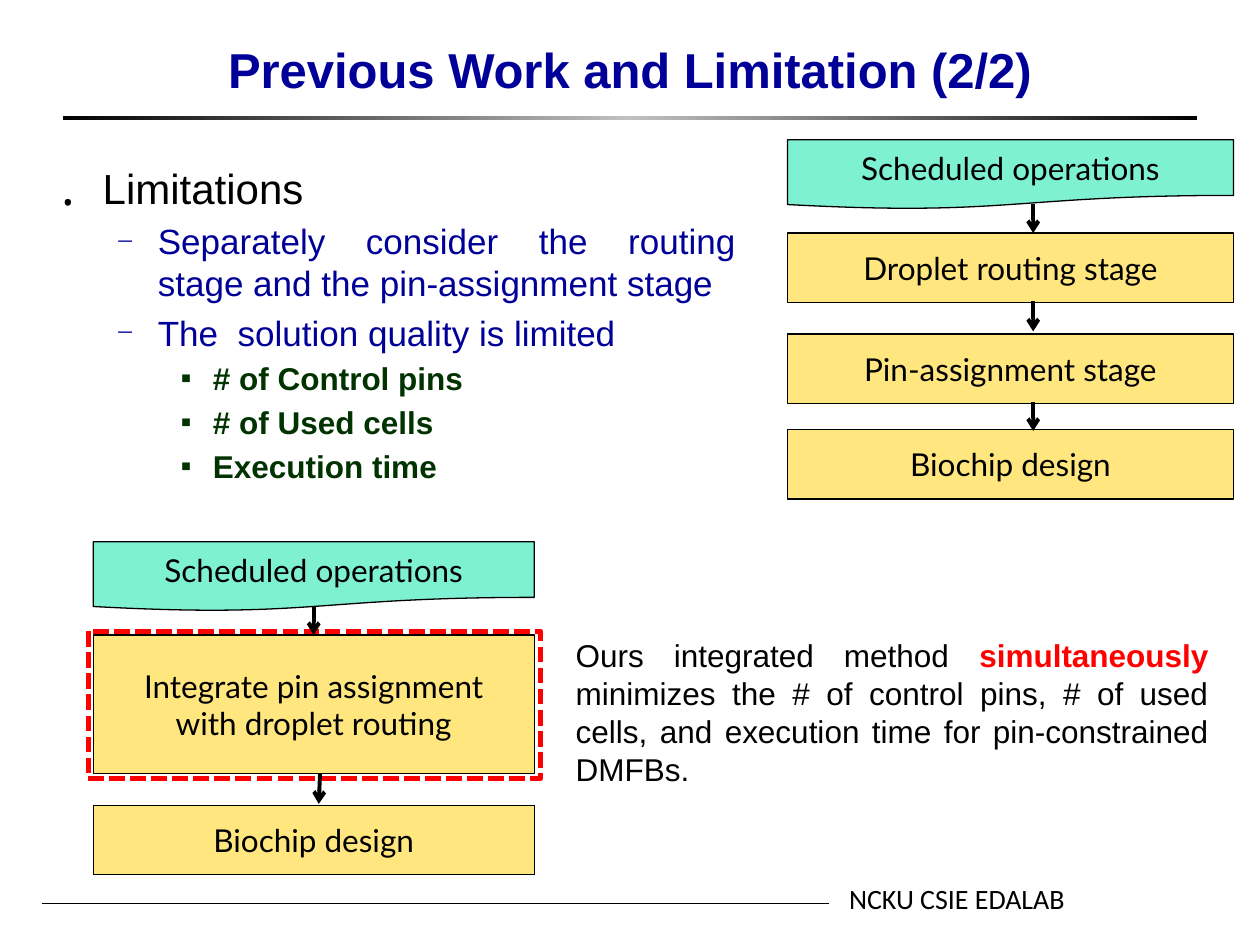
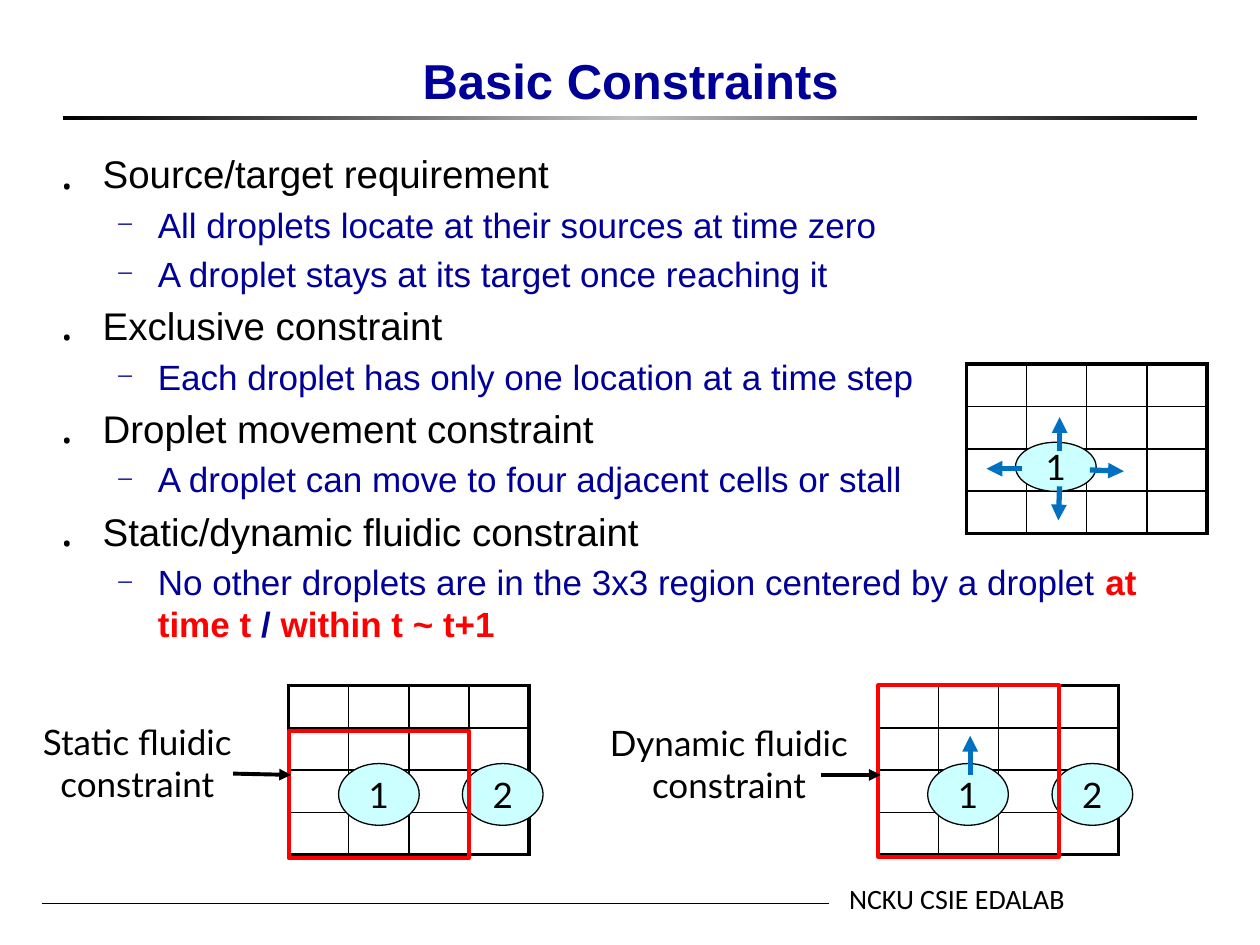
import copy

import pptx
import pptx.dml.color
import pptx.enum.dml
import pptx.enum.shapes
import pptx.enum.text
import pptx.oxml.ns
import pptx.util
from lxml import etree

Pt = pptx.util.Pt
RGBColor = pptx.dml.color.RGBColor
SHAPE = pptx.enum.shapes.MSO_SHAPE
ALIGN = pptx.enum.text.PP_ALIGN
ANCHOR = pptx.enum.text.MSO_ANCHOR
qn = pptx.oxml.ns.qn

BLACK = RGBColor(0x00, 0x00, 0x00)
SILVER = RGBColor(0xC0, 0xC0, 0xC0)
NAVY = RGBColor(0x00, 0x00, 0x99)
GREEN = RGBColor(0x00, 0x33, 0x00)
RED = RGBColor(0xFF, 0x00, 0x00)
BLUE = RGBColor(0x00, 0x70, 0xC0)
MINT = RGBColor(0x00, 0xE4, 0xA8)
AMBER = RGBColor(0xFF, 0xCF, 0x01)
AQUA = RGBColor(0xCC, 0xFF, 0xFF)

# Shared text formats and list levels
TITLE = {"name": "Arial", "size": Pt(28), "bold": True, "color": NAVY}
FOOTER = {"name": "Calibri", "size": Pt(16), "color": BLACK}
NOTE = {"name": "Arial", "size": Pt(18), "color": BLACK}
STAGE = {"name": "Lato", "size": Pt(18), "color": BLACK}
LABEL = {"name": "Lato", "size": Pt(20), "color": BLACK}
KEY = {"bold": True, "color": RED}
LEVELS = [
    {"bullet": "․", "percent": 120, "left": 27, "hang": 27,
     "font": {"name": "Arial", "color": BLACK, "bold": False}},
    {"bullet": "─", "percent": 55, "left": 58.5, "hang": 22.5,
     "font": {"name": "Arial", "size": Pt(20), "color": NAVY, "bold": False}},
    {"bullet": "■", "percent": 50, "left": 90, "hang": 18,
     "font": {"name": "Arial", "size": Pt(18), "color": GREEN, "bold": True}},
]

# Slide 1 content
LIMITATIONS = [
    (0, "Limitations"),
    (1, "Separately consider the routing stage and the pin-assignment stage"),
    (1, "The  solution quality is limited"),
    (2, "# of Control pins"),
    (2, "# of Used cells"),
    (2, "Execution time"),
]
STAGE_HEIGHT = 39.6
# Each stage: text lines, top, height
SEPARATE_FLOW = {
    "left": 450, "width": 254.88,
    "stages": [(["Scheduled operations"], 79.92, STAGE_HEIGHT),
               (["Droplet routing stage"], 133.2, STAGE_HEIGHT),
               (["Pin-assignment stage"], 190.8, STAGE_HEIGHT),
               (["Biochip design"], 245.52, STAGE_HEIGHT)],
    "arrows": [(590.4, 116.64, 590.4, 133.2), (590.4, 172.08, 590.4, 189.36),
               (590.4, 229.68, 590.4, 246.24)],
}
INTEGRATED_FLOW = {
    "left": 53.28, "width": 252,
    "stages": [(["Scheduled operations"], 309.6, STAGE_HEIGHT),
               (["Integrate pin assignment", "with droplet routing"], 362.88, 79.2),
               (["Biochip design"], 460.08, STAGE_HEIGHT)],
    "arrows": [(179.28, 346.32, 179.28, 362.88), (182.88, 442.08, 182.16, 459.36)],
}
INTEGRATED_NOTE = [
    ("Ours integrated method ", {}),
    ("simultaneously ", KEY),
    ("minimizes the # of control pins, # of used cells, and execution time "
     "for pin-constrained DMFBs.", {}),
]

# Slide 2 content
CONSTRAINTS = [
    (0, "Source/target requirement"),
    (1, "All droplets locate at their sources at time zero"),
    (1, "A droplet stays at its target once reaching it"),
    (0, "Exclusive constraint"),
    (1, "Each droplet has only one location at a time step"),
    (0, "Droplet movement constraint"),
    (1, "A droplet can move to four adjacent cells or stall"),
    (0, "Static/dynamic fluidic constraint"),
    (1, [("No other droplets are in the 3x3 region centered by a droplet ", {}),
         ("at time t ", KEY), ("/ ", {"bold": True}), ("within t ~ t+1", KEY)]),
]
GRID_SIZE, CELL_WIDTH, CELL_HEIGHT = 4, 34.38, 24.2
DROPLET_WIDTH = 46.08
# Droplets are (text, offset from grid left); regions are (top offset, height)
GRIDS = [
    {"at": (164.88, 391.68), "droplets": [("1", 28.6), ("2", 99.36)],
     "droplet_height": 35.28, "region": (25.92, 72.72),
     "label": ("Static fluidic constraint", (12.96, 408.24, 131.04, 55.44)),
     "pointer": (133.2, 442.08, 166.32, 442.8), "moves": []},
    {"at": (501.84, 391.68), "droplets": [("1", 28.3), ("2", 99.36)],
     "droplet_height": 35.28, "region": (0, 97.92),
     "label": ("Dynamic fluidic constraint", (337.68, 408.96, 157.68, 55.44)),
     "pointer": (469.44, 442.8, 503.28, 442.8),
     "moves": [(554.4, 442.8, 554.4, 420.48)]},
    {"at": (552.24, 208.08), "droplets": [("1", 28.08)], "droplet_height": 28.08,
     "moves": [(605.52, 257.76, 605.52, 238.32), (622.8, 268.56, 642.24, 269.28),
               (605.52, 277.92, 604.8, 297.36), (583.92, 267.84, 563.76, 267.84)]},
]


def points(values):
    return [Pt(value) for value in values]


def add_xml(parent, tag, **attributes):
    return etree.SubElement(parent, qn(tag), attributes)


def add_span(para, text, values):
    span = para.add_run()
    span.text = text
    for key, value in values.items():
        if key == "color":
            span.font.color.rgb = value
        else:
            setattr(span.font, key, value)


def write(frame, lines, values, align=ALIGN.CENTER):
    """Fill a text frame; a line is a string or a list of (text, format)."""
    for index, line in enumerate(lines):
        para = frame.add_paragraph() if index else frame.paragraphs[0]
        para.alignment = align
        for text, extra in [(line, {})] if isinstance(line, str) else line:
            add_span(para, text, {**values, **extra})


def move(shape, bounds):
    for name, value in zip(("left", "top", "width", "height"), points(bounds)):
        setattr(shape, name, value)


def add_box(page, kind, bounds, fill=None, line=BLACK, weight=0.75, opacity=None):
    box = page.shapes.add_shape(kind, *points(bounds))
    box.shadow.inherit = False
    if fill is None:
        box.fill.background()
    else:
        box.fill.solid()
        box.fill.fore_color.rgb = fill
    if opacity:
        color = box._element.spPr.find(qn("a:solidFill"))[0]
        add_xml(color, "a:alpha", val=str(opacity * 1000))
    box.line.color.rgb = line
    box.line.width = Pt(weight)
    return box


def add_filled_text(box, lines, values):
    box.text_frame.word_wrap = False
    box.text_frame.vertical_anchor = ANCHOR.MIDDLE
    write(box.text_frame, lines, values)


def add_text(page, bounds, lines, values, align=ALIGN.CENTER):
    box = page.shapes.add_textbox(*points(bounds))
    box.text_frame.word_wrap = True
    write(box.text_frame, lines, values, align)


def add_line(page, ends, color=BLACK, weight=2.25, head=None):
    line = page.shapes.add_connector(
        pptx.enum.shapes.MSO_CONNECTOR.STRAIGHT, *points(ends))
    line.line.color.rgb = color
    line.line.width = Pt(weight)
    if head:
        add_xml(line.line._get_or_add_ln(), "a:tailEnd", type=head)
    add_xml(line._element.spPr, "a:effectLst")
    return line


def add_list(body, bounds, items, top_size, align):
    move(body, bounds)
    frame = body.text_frame
    frame.auto_size = pptx.enum.text.MSO_AUTO_SIZE.NONE
    for index, (level, content) in enumerate(items):
        para = frame.add_paragraph() if index else frame.paragraphs[0]
        style = LEVELS[level]
        values = {"size": Pt(top_size), **style["font"]}
        para.level = level
        para.alignment = align
        props = para._p.get_or_add_pPr()
        props.set("marL", str(Pt(style["left"])))
        props.set("indent", str(-Pt(style["hang"])))
        add_xml(add_xml(props, "a:buClr"), "a:srgbClr", val=str(values["color"]))
        add_xml(props, "a:buSzPct", val=str(style["percent"] * 1000))
        add_xml(props, "a:buFont", typeface="Arial")
        add_xml(props, "a:buChar", char=style["bullet"])
        for text, extra in [(content, {})] if isinstance(content, str) else content:
            add_span(para, text, {**values, **extra})


def add_page(deck, title, bounds, anchor):
    """Slide with the shared rule, footer and title style."""
    page = deck.slides.add_slide(deck.slide_layouts[1])
    rule = add_box(page, SHAPE.RECTANGLE, (36, 66.24, 648, 2.16))
    rule.line.fill.background()
    rule.fill.gradient()
    rule.fill.gradient_angle = 0
    first_stop = rule.fill.gradient_stops[0]._gs
    first_stop.addnext(copy.deepcopy(first_stop))
    for stop, position, color in zip(rule.fill.gradient_stops, (0, 0.5, 1),
                                     (BLACK, SILVER, BLACK)):
        stop.position = position
        stop.color.rgb = color
    add_line(page, (23.76, 516.24, 473.76, 516.24), weight=0.5)
    add_text(page, (478.08, 500.4, 157.68, 26.64), ["NCKU CSIE EDALAB"],
             FOOTER, ALIGN.LEFT)
    heading = page.shapes.title
    move(heading, bounds)
    heading.text_frame.auto_size = pptx.enum.text.MSO_AUTO_SIZE.NONE
    heading.text_frame.vertical_anchor = anchor
    write(heading.text_frame, [title], TITLE)
    return page


def add_flow(page, flow):
    boxes = []
    for index, (lines, top, height) in enumerate(flow["stages"]):
        kind, fill = ((SHAPE.RECTANGLE, AMBER) if index
                      else (SHAPE.FLOWCHART_DOCUMENT, MINT))
        box = add_box(page, kind, (flow["left"], top, flow["width"], height),
                      fill, opacity=50)
        add_filled_text(box, lines, STAGE)
        boxes.append(box)
    middle = flow["left"] + flow["width"] / 2
    for ends, target in zip(flow["arrows"], boxes[1:]):
        arrow = add_line(page, ends, head="arrow")
        if abs(ends[2] - middle) < 0.5:
            arrow.end_connect(target, 0)


def add_grid(page, left, top):
    table = page.shapes.add_table(
        GRID_SIZE, GRID_SIZE, *points((left, top, GRID_SIZE * CELL_WIDTH,
                                       GRID_SIZE * CELL_HEIGHT))).table
    table.first_row = table.horz_banding = False
    last = GRID_SIZE - 1
    for index in range(GRID_SIZE):
        table.columns[index].width = Pt(CELL_WIDTH)
        table.rows[index].height = Pt(CELL_HEIGHT)
    for index, cell in enumerate(table.iter_cells()):
        row, column = divmod(index, GRID_SIZE)
        cell.margin_top = cell.margin_bottom = 0
        outer = {"L": column == 0, "R": column == last, "T": row == 0, "B": row == last}
        for side, thick in outer.items():
            border = add_xml(cell._tc.get_or_add_tcPr(), "a:ln" + side,
                             w=str(Pt(2.25 if thick else 1)))
            add_xml(add_xml(border, "a:solidFill"), "a:srgbClr", val=str(BLACK))
        cell.fill.background()


def add_droplet_grid(page, grid):
    left, top = grid["at"]
    add_grid(page, left, top)
    for text, offset in grid["droplets"]:
        droplet = add_box(page, SHAPE.OVAL, (left + offset, top + 44.64, DROPLET_WIDTH,
                                             grid["droplet_height"]), AQUA)
        add_filled_text(droplet, [text], LABEL)
    if "region" in grid:
        offset, height = grid["region"]
        add_box(page, SHAPE.RECTANGLE, (left, top + offset, 3 * CELL_WIDTH, height),
                line=RED, weight=2.25)
        text, bounds = grid["label"]
        add_text(page, bounds, [text], LABEL)
        add_line(page, grid["pointer"], head="triangle")
    for ends in grid["moves"]:
        add_line(page, ends, BLUE, 3, "triangle")


def main():
    deck = pptx.Presentation()
    deck.slide_width, deck.slide_height = Pt(720), Pt(540)

    # Slide 1: limitations and the two design flows
    page = add_page(deck, "Previous Work and Limitation (2/2)",
                    (54, 18.72, 612, 66.24), ANCHOR.TOP)
    add_list(page.placeholders[1], (24.48, 89.28, 403.2, 354.96), LIMITATIONS,
             24, ALIGN.JUSTIFY)
    add_flow(page, SEPARATE_FLOW)
    highlight = add_box(page, SHAPE.RECTANGLE, (50.4, 360.72, 258.48, 84.24),
                        line=RED, weight=3)
    highlight.line.dash_style = pptx.enum.dml.MSO_LINE.SQUARE_DOT
    add_flow(page, INTEGRATED_FLOW)
    add_text(page, (321.84, 360, 375.84, 94.32), [INTEGRATED_NOTE], NOTE, ALIGN.JUSTIFY)

    # Slide 2: constraints and droplet grids
    page = add_page(deck, "Basic Constraints", (39.6, 0, 641.52, 66.24), ANCHOR.BOTTOM)
    add_list(page.placeholders[1], (24.48, 82.08, 673.2, 418.32), CONSTRAINTS,
             22, ALIGN.LEFT)
    for grid in GRIDS:
        add_droplet_grid(page, grid)

    deck.save("out.pptx")


if __name__ == "__main__":
    main()
